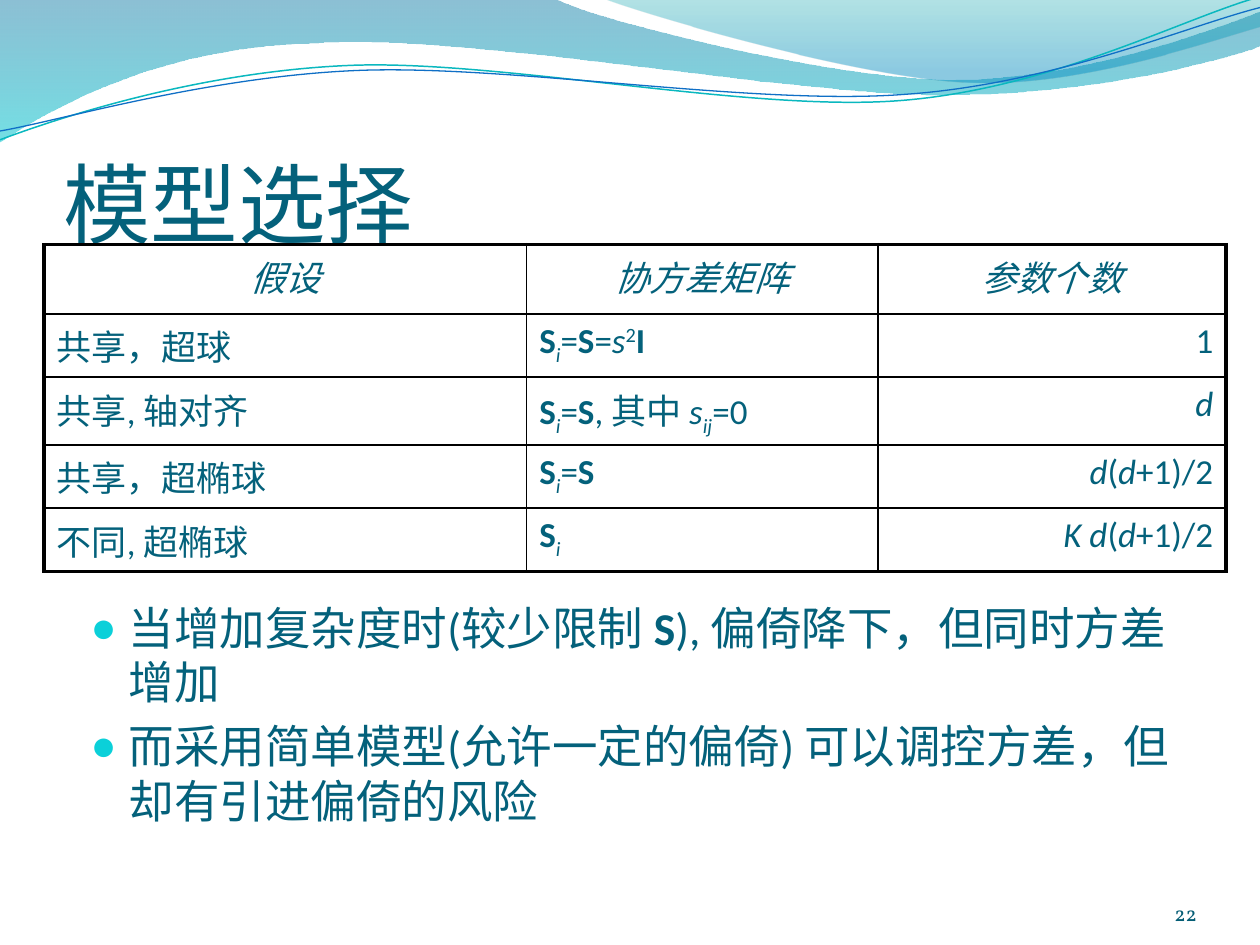
from itertools import product

from lxml.etree import SubElement
from pptx import Presentation
from pptx.dml.color import RGBColor
from pptx.enum.text import MSO_ANCHOR as Anchor, MSO_AUTO_SIZE as AutoSize, PP_ALIGN as Align
from pptx.oxml import parse_xml
from pptx.oxml.ns import nsdecls, qn
from pptx.util import Inches, Pt

paint = RGBColor.from_string
INK, BLACK = "04617B", "000000"


def write(para, text, size=20, font="Calibri", color=INK, style=""):
    """Add a run; style letters are b bold, i italic, _ subscript, ^ superscript."""
    span = para.add_run()
    span.text = text
    span.font.size, span.font.name = Pt(size), font
    span.font.color.rgb = paint(color)
    span.font.bold, span.font.italic = "b" in style, "i" in style
    for mark, shift in (("_", "-25000"), ("^", "30000")):
        if mark in style:
            span.font._element.set("baseline", shift)


def put(box, left, top, width, height, anchor=Anchor.TOP):
    """Place a text box by shares of the slide and return its text frame."""
    box.left, box.width = int(left * deck.slide_width), int(width * deck.slide_width)
    box.top, box.height = int(top * deck.slide_height), int(height * deck.slide_height)
    frame = box.text_frame
    frame.word_wrap, frame.auto_size, frame.vertical_anchor = True, AutoSize.NONE, anchor
    return frame


deck = Presentation()
deck.slide_width, deck.slide_height = Inches(10), Inches(7.5)
page = deck.slides.add_slide(deck.slide_layouts[1])

waves = [
    ([(0, 0), (4.4, -0.01), (4.76, 0.17, 6.64, 0.63, 7.58, 0.63), (8.53, 0.63, 9.58, 0.26, 10, 0.09),
      (10.01, 0.36), (9.83, 0.44, 8.7, 0.76, 7.46, 0.75), (6.22, 0.75, 3.82, 0.28, 2.57, 0.34),
      (1.29, 0.36, 0.46, 0.83, -0.01, 1.13), (0, 0)], [(0, "0074A1", 45), (1, "00C6CF", 55)], None),
    ([(4.79, -0.01), (5.09, 0.11, 6.82, 0.62, 7.69, 0.65), (8.56, 0.69, 9.61, 0.32, 10, 0.21),
      (10, 0), (4.79, -0.01)], [(0, "00A1A9", 30), (0.8, "008BBF", 45)], None),
    ([(0, 1.11), (0.48, 0.93, 1.58, 0.57, 2.77, 0.52), (3.95, 0.47, 5.93, 0.89, 7.13, 0.8),
      (8.33, 0.71, 9.38, 0.15, 9.98, -0.02)], None, ("0AB8BF", 0.85)),
    ([(0, 1.04), (0.47, 0.96, 1.64, 0.61, 2.83, 0.56), (4.03, 0.51, 5.97, 0.84, 7.17, 0.75),
      (8.36, 0.67, 9.41, 0.21, 10, 0.06)], None, ("0F6FC6", 0.75)),
]
for outline, stops, stroke in waves:
    knots = [(Inches(segment[i]), Inches(segment[i + 1]))
             for segment in outline for i in range(0, len(segment), 2)]
    builder = page.shapes.build_freeform(*knots[0])
    builder.add_line_segments(knots[1:], close=bool(stops))
    wave = builder.convert_to_shape()
    steps = iter(list(wave._element.iter(qn("a:lnTo"))))
    for segment in outline[1:]:
        first = next(steps)
        if len(segment) == 6:
            first.addprevious(parse_xml(f'<a:cubicBezTo {nsdecls("a")}/>'))
            curve = first.getprevious()
            for step in (first, next(steps), next(steps)):
                curve.append(step[0])
                step.getparent().remove(step)
    wave.shadow.inherit = False
    if stops:
        wave.line.fill.background()
        wave.fill.gradient()
        wave.fill.gradient_angle = 270
        for stop, (position, color, opacity) in zip(wave.fill.gradient_stops, stops):
            stop.position, stop.color.rgb = position, paint(color)
            SubElement(stop._gs[0], qn("a:alpha")).set("val", str(opacity * 1000))
    else:
        wave.fill.background()
        wave.line.color.rgb, wave.line.width = paint(stroke[0]), Pt(stroke[1])

title = put(page.shapes.title, 0.05, 0.103, 0.9, 0.167, Anchor.BOTTOM)
title.margin_left = title.margin_right = title.margin_bottom = 0
title.paragraphs[0].alignment = Align.LEFT
write(title.paragraphs[0], "模型选择", size=50)

SHARED = [("S", "b"), ("i", "i_"), ("=", ""), ("S", "b")]
COUNT = [("(", ""), ("d", "i"), ("+1)/2", "")]
rows = [
    [[("假设", "i")], [("协方差矩阵", "i")], [("参数个数", "i")]],
    [[("共享，超球", "")], SHARED + [("=", ""), ("s", "i"), ("2", "^"), ("I", "b")], [("1", "")]],
    [[("共享, 轴对齐", "")], SHARED + [(", 其中 ", ""), ("s", "i"), ("ij", "i_"), ("=0", "")], [("d", "i")]],
    [[("共享，超椭球", "")], SHARED, [("d", "i")] + COUNT],
    [[("不同, 超椭球", "")], SHARED[:2], [("K d", "i")] + COUNT],
]
widths, heights = [3.83, 2.79, 2.76], [0.55, 0.48, 0.47, 0.47, 0.27]
holder = page.shapes.add_table(len(rows), len(widths), Inches(0.35), Inches(1.94), Inches(9.37), Inches(2.4))
table = holder.table
table.first_row = table.horz_banding = False
for column, width in zip(table.columns, widths):
    column.width = Inches(width)
for row, height in zip(table.rows, heights):
    row.height = Inches(height)
holder.width, holder.height = Inches(9.37), Inches(2.4)
for r, c in product(range(len(rows)), range(len(widths))):
    cell = table.cell(r, c)
    cell.fill.background()
    para = cell.text_frame.paragraphs[0]
    para.alignment = Align.CENTER if r == 0 else (Align.LEFT, Align.LEFT, Align.RIGHT)[c]
    para.space_before = Pt(4)
    for text, style in rows[r][c]:
        write(para, text, style=style)
    outer = {"L": c == 0, "R": c == len(widths) - 1, "T": r == 0, "B": r == len(rows) - 1}
    for index, (side, thick) in enumerate(outer.items()):
        cell._tc.get_or_add_tcPr().insert(index, parse_xml(
            f'<a:ln{side} {nsdecls("a")} w="{Pt(2.25 if thick else 1)}"><a:solidFill>'
            f'<a:srgbClr val="{BLACK}"/></a:solidFill></a:ln{side}>'))

points = [
    [("当增加复杂度时(较少限制 ", ""), ("S", "b"), ("), 偏倚降下，但同时方差增加", "")],
    [("而采用简单模型(允许一定的偏倚) 可以调控方差，但却有引进偏倚的风险", "")],
]
body = put(page.placeholders[1], 0.062, 0.292, 0.9, 0.567)
body.margin_top = Inches(2.57)
for number, spans in enumerate(points):
    para = body.add_paragraph() if number else body.paragraphs[0]
    para.space_before = Pt(5.2)
    for text, style in spans:
        write(para, text, size=26, style=style)
    layout = para._p.get_or_add_pPr()
    layout.set("marL", str(Inches(0.3)))
    layout.set("indent", str(Inches(-0.3)))
    color = SubElement(layout, qn("a:buClr"))
    SubElement(color, qn("a:srgbClr")).set("val", "0BD0D9")
    SubElement(layout, qn("a:buSzPct")).set("val", "95000")
    SubElement(layout, qn("a:buChar")).set("char", "●")

footer = put(page.shapes.add_textbox(0, 0, 0, 0), 0.867, 0.927, 0.083, 0.053, Anchor.BOTTOM)
footer.margin_left = footer.margin_right = footer.margin_top = footer.margin_bottom = 0
footer.paragraphs[0].alignment = Align.RIGHT
write(footer.paragraphs[0], "22", size=12, font="Vollkorn", color="045D75")

deck.save("out.pptx")
